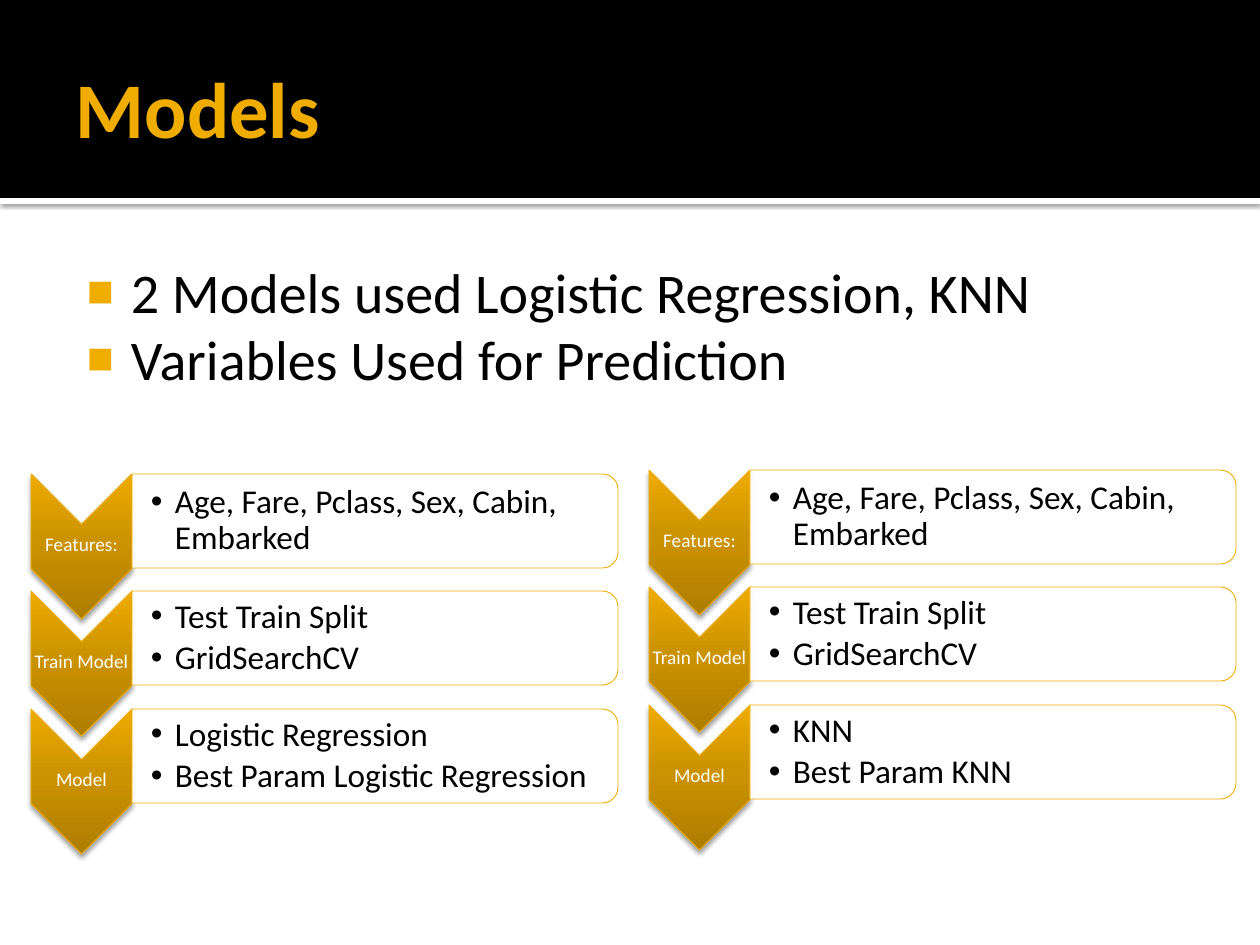
from lxml import etree
from pptx import Presentation
from pptx import util as u
from pptx.dml.color import RGBColor
from pptx.enum import shapes, text
from pptx.oxml.ns import qn

SCALE = 914400 / 126
COLOURS = {"gold": "F0AD00", "black": "000000", "white": "FFFFFF",
           "dark": "AE7D00", "middle": "CC9300", "light": "EEAB00"}
SHAPE = shapes.MSO_SHAPE


def px(length):
    """Turn pixels into EMU."""
    return u.Emu(round(length * SCALE))


def add(parent, tag, **attributes):
    """Append a drawing element with the given attributes."""
    return etree.SubElement(parent, qn("a:" + tag), {k: str(v) for k, v in attributes.items()})


class Deck:
    """Holds the style and the current slide."""

    def __init__(self, width, height, font):
        """Open a presentation with one blank slide."""
        self.presentation = Presentation()
        self.presentation.slide_width, self.presentation.slide_height = px(width), px(height)
        self.slide = self.presentation.slides.add_slide(self.presentation.slide_layouts[6])
        self.font, self.target = font, self.slide.shapes

    def group(self):
        """Send the following elements to a new group."""
        self.target = self.slide.shapes.add_group_shape().shapes

    def shape(self, kind, x, y, width, height, fill="white", line=None, turned=False):
        """Add a preset shape; a turned one is rotated by 90 degrees into its box."""
        if turned:
            x, y = x + (width - height) / 2, y + (height - width) / 2
            width, height = height, width
        shape = self.target.add_shape(kind, px(x), px(y), px(width), px(height))
        shape.rotation = 90 if turned else 0
        shape.shadow.inherit = False
        shape.fill.solid()
        shape.fill.fore_color.rgb = RGBColor.from_string(COLOURS[fill])
        if line:
            shape.line.color.rgb = RGBColor.from_string(COLOURS[line])
            shape.line.width = u.Pt(0.5)
        else:
            shape.line.fill.background()
        return shape

    def shadow(self, shape, alpha, blur, distance):
        """Give a shape a soft shadow that falls downwards."""
        effects = shape._element.spPr.find(qn("a:effectLst"))
        outer = add(effects, "outerShdw", blurRad=u.Pt(blur), dist=u.Pt(distance),
                    dir=5400000, algn="ctr", rotWithShape=0)
        add(add(outer, "srgbClr", val=COLOURS["black"]), "alpha", val=alpha * 1000)

    def gradient(self, shape, stops):
        """Fill a shape with a gradient that runs upwards on the slide."""
        solid = shape._element.spPr.find(qn("a:solidFill"))
        fill = etree.Element(qn("a:gradFill"), rotWithShape="0")
        stop_list = add(fill, "gsLst")
        for position, colour in stops:
            add(add(stop_list, "gs", pos=position * 1000), "srgbClr", val=COLOURS[colour])
        add(fill, "lin", ang=16200000, scaled=0)
        solid.getparent().replace(solid, fill)

    def opacity(self, shape, percent):
        """Make a solid fill partly transparent."""
        colour = shape._element.spPr.find(qn("a:solidFill"))[0]
        add(colour, "alpha", val=percent * 1000)

    def text(self, lines, x, y, width, height, size, colour="black", bold=False, insets=(1, 1, 1, 1),
             anchor="MIDDLE", align="LEFT", spacing=1.0, after=0, bullet=None):
        """Add a text box; bullet is (character, hanging indent, left margin, colour, percent)."""
        frame = self.target.add_textbox(px(x), px(y), px(width), px(height)).text_frame
        frame.word_wrap = True
        frame.vertical_anchor = text.MSO_ANCHOR[anchor]
        frame.margin_left, frame.margin_top, frame.margin_right, frame.margin_bottom = map(px, insets)
        frame.text = "\n".join(lines)
        for paragraph in frame.paragraphs:
            paragraph.alignment = text.PP_ALIGN[align]
            paragraph.line_spacing = spacing
            paragraph.space_after = u.Pt(after)
            if bullet:
                self.bullet(paragraph, *bullet)
            for run in paragraph.runs:
                run.font.name, run.font.size, run.font.bold = self.font, u.Pt(size), bold
                run.font.color.rgb = RGBColor.from_string(COLOURS[colour])

    def bullet(self, paragraph, character, hanging, margin, colour, percent):
        """Put a bullet before a paragraph."""
        properties = paragraph._p.get_or_add_pPr()
        properties.set("marL", str(px(margin)))
        properties.set("indent", str(px(-hanging)))
        add(add(properties, "buClr"), "srgbClr", val=COLOURS[colour])
        add(properties, "buSzPct", val=percent * 1000)
        add(properties, "buFont", typeface="Arial")
        add(properties, "buChar", char=character)

    def step(self, label, details, x, y):
        """Add one step: a downward chevron with its label and a panel of details."""
        chevron = self.shape(SHAPE.CHEVRON, x, y, 101, 145, line="gold", turned=True)
        self.gradient(chevron, [(0, "dark"), (55, "middle"), (100, "light")])
        self.shadow(chevron, 38, 3.1, 2)
        self.text([label], x, y + 50, 101, 43, 11, "white", align="CENTER", spacing=0.9, after=4)
        panel = self.shape(SHAPE.ROUND_2_SAME_RECTANGLE, x + 101, y, 486, 94, line="gold", turned=True)
        self.opacity(panel, 90)
        self.text(details, x + 101, y + 5, 481, 84, 19, insets=(19, 1, 1, 1), spacing=0.9, after=3,
                  bullet=("•", 24, 24, "black", 100))


deck = Deck(1260, 945, "Calibri")
rule = deck.shape(SHAPE.RECTANGLE, 0, 198, 1260, 6)
deck.shadow(rule, 60, 2.5, 0.8)
deck.shape(SHAPE.RECTANGLE, 0, 0, 1260, 198, "black")
deck.text(["Models"], 63, 21, 1134, 173, 45, "gold", bold=True, insets=(13, 6, 6, 6))
deck.text(["2 Models used Logistic Regression, KNN", "Variables Used for Prediction"],
          63, 244, 1134, 638, 32, insets=(8, 13, 13, 6), anchor="TOP",
          bullet=("■", 44, 60, "gold", 80))

PIPELINES = [(31, 474, ["Logistic Regression", "Best Param Logistic Regression"]),
             (649, 470, ["KNN", "Best Param KNN"])]
for left, top, model in PIPELINES:
    deck.group()
    steps = [("Features:", ["Age, Fare, Pclass, Sex, Cabin, Embarked"]),
             ("Train Model", ["Test Train Split", "GridSearchCV"]),
             ("Model", model)]
    for row, (label, details) in enumerate(steps):
        deck.step(label, details, left, top + row * 235 // 2)

deck.presentation.save("out.pptx")
